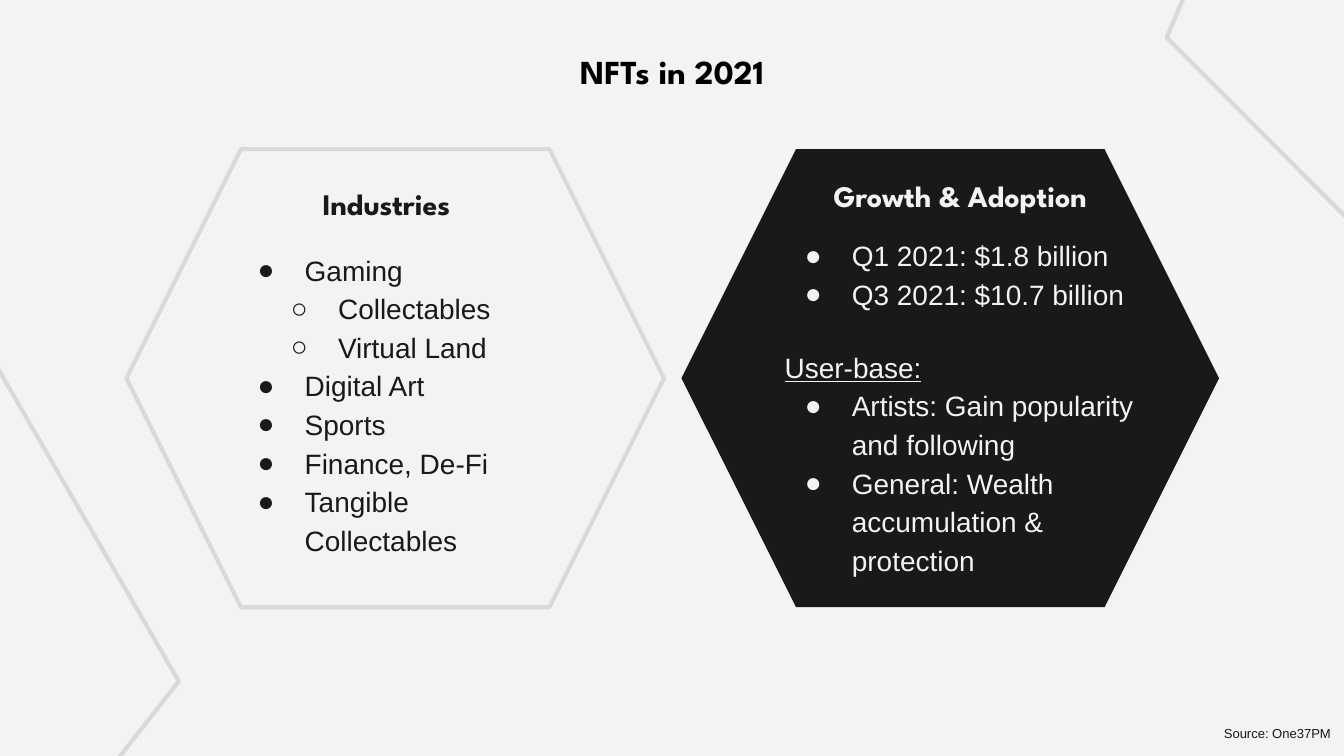
from pptx import Presentation
from pptx.dml.color import RGBColor
from pptx.enum.shapes import MSO_SHAPE
from pptx.enum.text import MSO_ANCHOR, PP_ALIGN
from pptx.oxml.ns import qn
from pptx.util import Cm, Pt
from lxml.etree import SubElement

PAPER = RGBColor(0xF3, 0xF3, 0xF3)
INK = RGBColor(0x19, 0x19, 0x19)
OUTLINE = RGBColor(0xD9, 0xD9, 0xD9)
BLACK = RGBColor(0, 0, 0)

HEADING_FONT = "League Spartan"
BODY_FONT = "Arial"
LINE_SPACING = 1.15
BULLETS = {0: "●", 1: "○"}
INDENTS = {0: Cm(1.27), 1: Cm(1.9)}
HANGING = Cm(0.89)

INDUSTRIES = [
    ("Gaming", 0),
    ("Collectables", 1),
    ("Virtual Land", 1),
    ("Digital Art", 0),
    ("Sports", 0),
    ("Finance, De-Fi", 0),
    ("Tangible Collectables", 0),
]
GROWTH = [
    ("Q1 2021: $1.8 billion", 0),
    ("Q3 2021: $10.7 billion", 0),
    ("User-base:", None),
    ("Artists: Gain popularity and following", 0),
    ("General: Wealth accumulation & protection", 0),
]
CORNERS = [
    [(-0.48, 6.2), (3.38, 12.88), (0.97, 15.95)],
    [(27.5, 6.17), (22.05, 0.71), (23.58, -2.87)],
]


def apply_format(target, values):
    for name, value in values.items():
        setattr(target, name, value)


def add_span(para, text, color, **values):
    span = para.add_run()
    span.text = text
    apply_format(span.font, values)
    span.font.color.rgb = color


def add_box(page, left, top, width, height, anchor=MSO_ANCHOR.TOP):
    box = page.shapes.add_textbox(Cm(left), Cm(top), Cm(width), Cm(height))
    frame = box.text_frame
    apply_format(frame, {"word_wrap": True, "vertical_anchor": anchor})
    for side in ("left", "top", "right", "bottom"):
        setattr(frame, f"margin_{side}", Cm(0.25))
    return frame


def add_heading(page, text, place, size, color, anchor=MSO_ANCHOR.BOTTOM):
    para = add_box(page, *place, anchor).paragraphs[0]
    para.alignment = PP_ALIGN.CENTER
    add_span(para, text, color, name=HEADING_FONT, size=Pt(size), bold=True)


def add_bullet(para, level, color):
    para.level = level
    properties = para._p.get_or_add_pPr()
    properties.set("marL", str(INDENTS[level]))
    properties.set("indent", str(-HANGING))
    bullet_color = SubElement(properties, qn("a:buClr"))
    SubElement(bullet_color, qn("a:srgbClr"), val=str(color))
    SubElement(properties, qn("a:buFont"), typeface=BODY_FONT)
    SubElement(properties, qn("a:buChar"), char=BULLETS[level])


def add_list(page, items, place, color):
    frame = add_box(page, *place)
    for index, (text, level) in enumerate(items):
        para = frame.add_paragraph() if index else frame.paragraphs[0]
        para.line_spacing = LINE_SPACING
        is_label = level is None
        if is_label:
            para.space_before = Pt(18.4)
        else:
            add_bullet(para, level, color)
        add_span(para, text, color, name=BODY_FONT, size=Pt(15), underline=is_label)


def add_source(page, text, place):
    para = add_box(page, *place).paragraphs[0]
    apply_format(para, {"alignment": PP_ALIGN.RIGHT, "line_spacing": LINE_SPACING})
    add_span(para, text, INK, name=BODY_FONT, size=Pt(7))


def draw_outline(shape):
    shape.shadow.inherit = False
    shape.fill.background()
    shape.line.color.rgb = OUTLINE
    shape.line.width = Pt(2.25)


def add_hexagon(page, left):
    hexagon = page.shapes.add_shape(
        MSO_SHAPE.HEXAGON, Cm(left), Cm(2.82), Cm(10.16), Cm(8.66)
    )
    hexagon.adjustments[0] = 0.25
    hexagon.shadow.inherit = False
    return hexagon


def add_corner(page, points):
    start, *rest = [(Cm(x), Cm(y)) for x, y in points]
    builder = page.shapes.build_freeform(*start)
    builder.add_line_segments(rest, close=False)
    draw_outline(builder.convert_to_shape())


def main():
    deck = Presentation()
    apply_format(deck, {"slide_width": Cm(25.4), "slide_height": Cm(14.29)})
    page = deck.slides.add_slide(deck.slide_layouts[6])
    page.background.fill.solid()
    page.background.fill.fore_color.rgb = PAPER

    draw_outline(add_hexagon(page, 2.39))
    for points in CORNERS:
        add_corner(page, points)
    growth_panel = add_hexagon(page, 12.88)
    growth_panel.fill.solid()
    growth_panel.fill.fore_color.rgb = INK
    growth_panel.line.fill.background()

    add_heading(page, "NFTs in 2021", (8.56, 0.71, 8.28, 1.9), 18, BLACK, MSO_ANCHOR.TOP)
    add_heading(page, "Industries", (5.44, 3.53, 3.73, 0.91), 16, INK)
    add_heading(page, "Growth & Adoption", (15.32, 3.15, 5.66, 1.14), 16, PAPER)
    add_list(page, GROWTH, (14.58, 4.17, 7.49, 7.24), PAPER)
    add_list(page, INDUSTRIES, (4.24, 4.44, 6.25, 6.3), INK)
    add_source(page, "Source: One37PM", (21.87, 13.49, 3.53, 0.63))
    deck.save("out.pptx")


if __name__ == "__main__":
    main()
